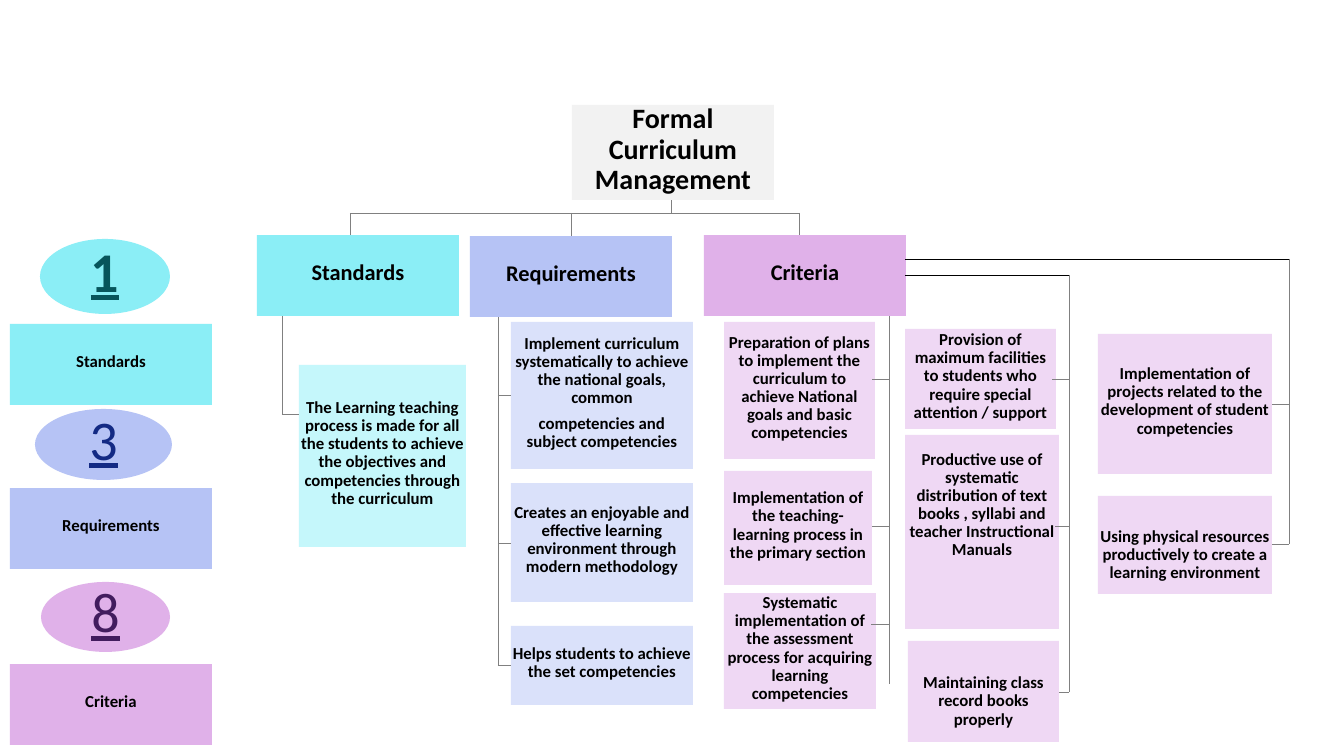
from pptx import Presentation
from pptx import util as u
from pptx.dml.color import RGBColor
from pptx.enum import shapes, text
from pptx.oxml.ns import qn
from lxml import etree

PX = 9144000 / 1008
CYAN, BLUE, PURPLE = "8BEEF6", "B6C3F5", "E0B1E9"
PALE_CYAN, PALE_BLUE, PALE_PURPLE = "C5F7FB", "DAE1FA", "EFD8F4"
BLACK, GREY, LIGHT = "000000", "808080", "F2F2F2"
HEAD_W, HEAD_H = 202, 81


def px(n):
    """Turn px into EMU."""
    return u.Emu(round(n * PX))


def colour(code):
    """Turn a hex string into a colour."""
    return RGBColor.from_string(code)


class Chart:
    """Draws filled boxes and thin lines on one slide."""

    font = "Calibri"

    def __init__(self, slide):
        """Keep the slide to draw on."""
        self.shapes = slide.shapes

    def box(self, at, fill, words, size=12, ink=BLACK, bold=True, underline=False,
            oval=False, top=1, bottom=6):
        """Add a filled rectangle or oval with centred text."""
        kind = shapes.MSO_SHAPE.OVAL if oval else shapes.MSO_SHAPE.RECTANGLE
        shape = self.shapes.add_shape(kind, *map(px, at))
        shape.shadow.inherit = False
        shape.fill.solid()
        shape.fill.fore_color.rgb = colour(fill)
        shape.line.fill.background()
        frame = shape.text_frame
        frame.word_wrap = True
        frame.vertical_anchor = text.MSO_ANCHOR.MIDDLE
        frame.margin_left = frame.margin_right = px(1)
        frame.margin_top, frame.margin_bottom = px(top), px(bottom)
        frame.text = words
        for paragraph in frame.paragraphs:
            paragraph.alignment = text.PP_ALIGN.CENTER
            paragraph.line_spacing = 0.9
            paragraph.space_after = u.Pt(5)
            for run in paragraph.runs:
                run.font.name = self.font
                run.font.size = u.Pt(size)
                run.font.bold = bold
                run.font.underline = underline
                run.font.color.rgb = colour(ink)

    def line(self, x1, y1, x2, y2, ink=GREY):
        """Add a thin straight line."""
        connector = self.shapes.add_connector(
            shapes.MSO_CONNECTOR.STRAIGHT, px(x1), px(y1), px(x2), px(y2))
        connector.line.color.rgb = colour(ink)
        connector.line.width = u.Pt(0.5)
        etree.SubElement(connector._element.spPr, qn("a:effectLst"))


def main():
    """Build the curriculum chart and save it."""
    deck = Presentation()
    deck.slide_width, deck.slide_height = px(1344), px(756)
    chart = Chart(deck.slides.add_slide(deck.slide_layouts[6]))

    crossbar = 213
    chart.line(350, crossbar, 799, crossbar)
    for x, end in [(350, 236), (571, 238), (671, 198), (799, 237)]:
        chart.line(x, crossbar, x, end)

    branches = [
        (282, 312, 414, [(299, 414)]),
        (498, 316, 665, [(511, 395), (511, 543), (511, 665)]),
        (889, 284, 684, [(872, 379), (872, 526), (871, 624)]),
        (1069, 275, 692, [(1052, 379), (1055, 526), (1059, 692)]),
        (1289, 259, 544, [(1272, 404), (1272, 544)]),
    ]
    for x, start, end, _ in branches:
        chart.line(x, start, x, end)

    chart.box((572, 105, HEAD_W, 95), LIGHT, "Formal Curriculum Management", 20)
    for x, y, fill, heading in [(257, 235, CYAN, "Standards"),
                                (470, 236, BLUE, "Requirements"),
                                (704, 235, PURPLE, "Criteria")]:
        chart.box((x, y, HEAD_W, HEAD_H), fill, heading, 16)

    chart.box((299, 365, 167, 182), PALE_CYAN,
              "The Learning teaching process is made for all the students to achieve "
              "the objectives and competencies through the curriculum")

    requirements = [
        (322, 147, "Implement curriculum systematically to achieve the national goals, "
                   "common\ncompetencies and subject competencies"),
        (483, 119, "Creates an enjoyable and effective learning environment through "
                   "modern methodology"),
        (626, 79, "Helps students to achieve the set competencies"),
    ]
    for y, height, requirement in requirements:
        chart.box((511, y, 182, height), PALE_BLUE, requirement)

    criteria = [
        ((724, 322, 151, 137), "Preparation of plans to implement the curriculum to "
                               "achieve National goals and basic competencies", {}),
        ((724, 471, 148, 114), "Implementation of the teaching-learning process in the "
                               "primary section", {}),
        ((724, 593, 152, 116), "Systematic implementation of the assessment process for "
                               "acquiring learning competencies", {}),
        ((905, 329, 151, 100), "Provision of maximum facilities to students who require "
                               "special attention / support", {}),
        ((905, 435, 154, 194), "Productive use of systematic distribution of text books , "
                               "syllabi and teacher Instructional Manuals", {"bottom": 55}),
        ((908, 641, 151, 101), "Maintaining class record books properly", {"top": 26}),
        ((1098, 334, 174, 140), "Implementation of projects related to the development "
                                "of student competencies", {}),
        ((1098, 496, 174, 98), "Using physical resources productively to create a "
                               "learning environment", {"top": 26}),
    ]
    for at, criterion, inset in criteria:
        chart.box(at, PALE_PURPLE, criterion, **inset)

    legend = [
        ((40, 239, 130, 75), 324, CYAN, "1", "07555C", "Standards"),
        ((35, 409, 137, 71), 488, BLUE, "3", "132A84", "Requirements"),
        ((41, 582, 129, 70), 664, PURPLE, "8", "421C5E", "Criteria"),
    ]
    for oval, y, fill, count, ink, label in legend:
        chart.box(oval, fill, count, 40, ink, bold=count == "1", underline=True, oval=True)
        chart.box((10, y, HEAD_W, HEAD_H), fill, label)

    for x, _, _, twigs in branches:
        for edge, y in twigs:
            chart.line(x, y, edge, y)
    for x, y in [(1069, 275), (1289, 259)]:
        chart.line(905, y, x, y, BLACK)

    deck.save("out.pptx")


if __name__ == "__main__":
    main()
